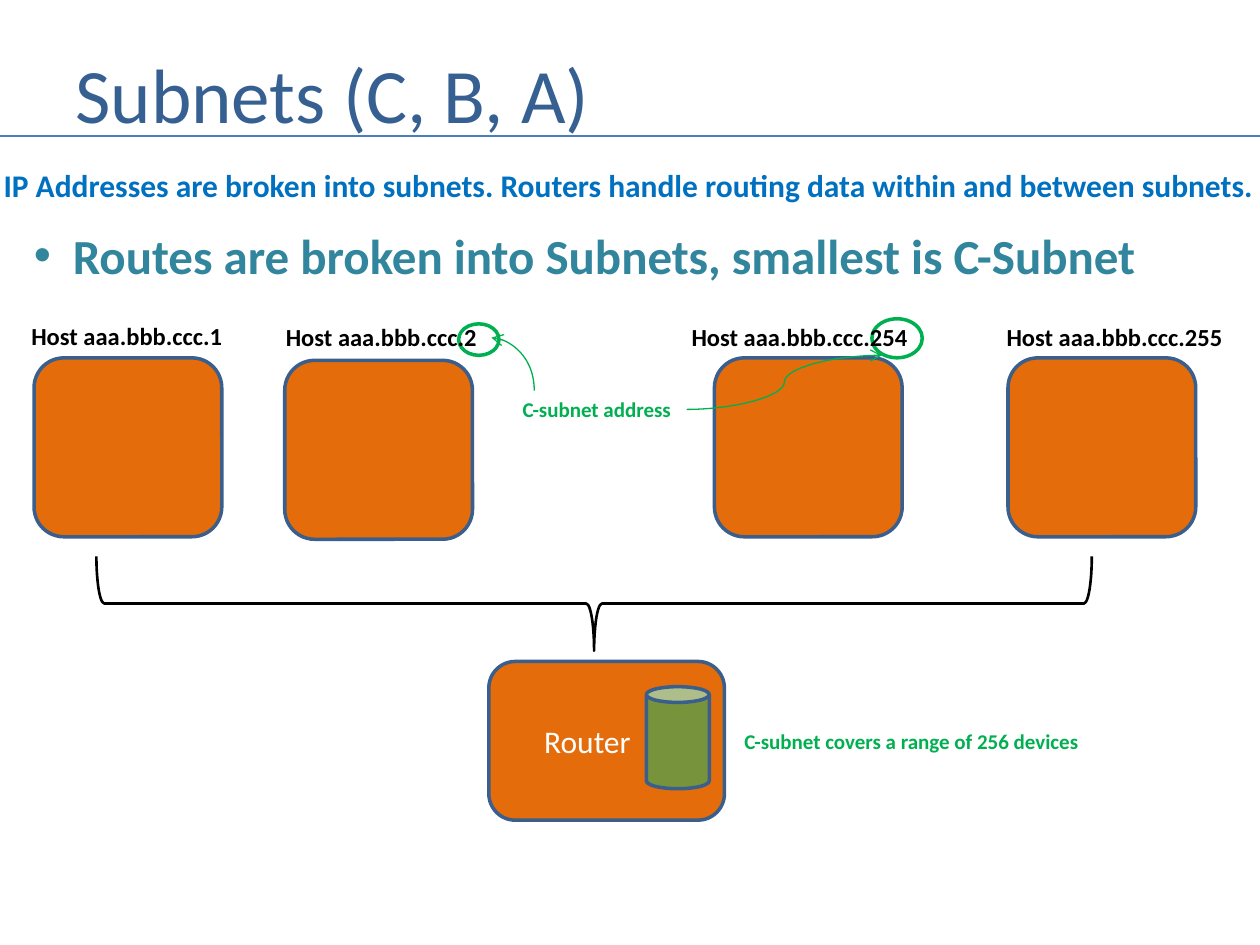
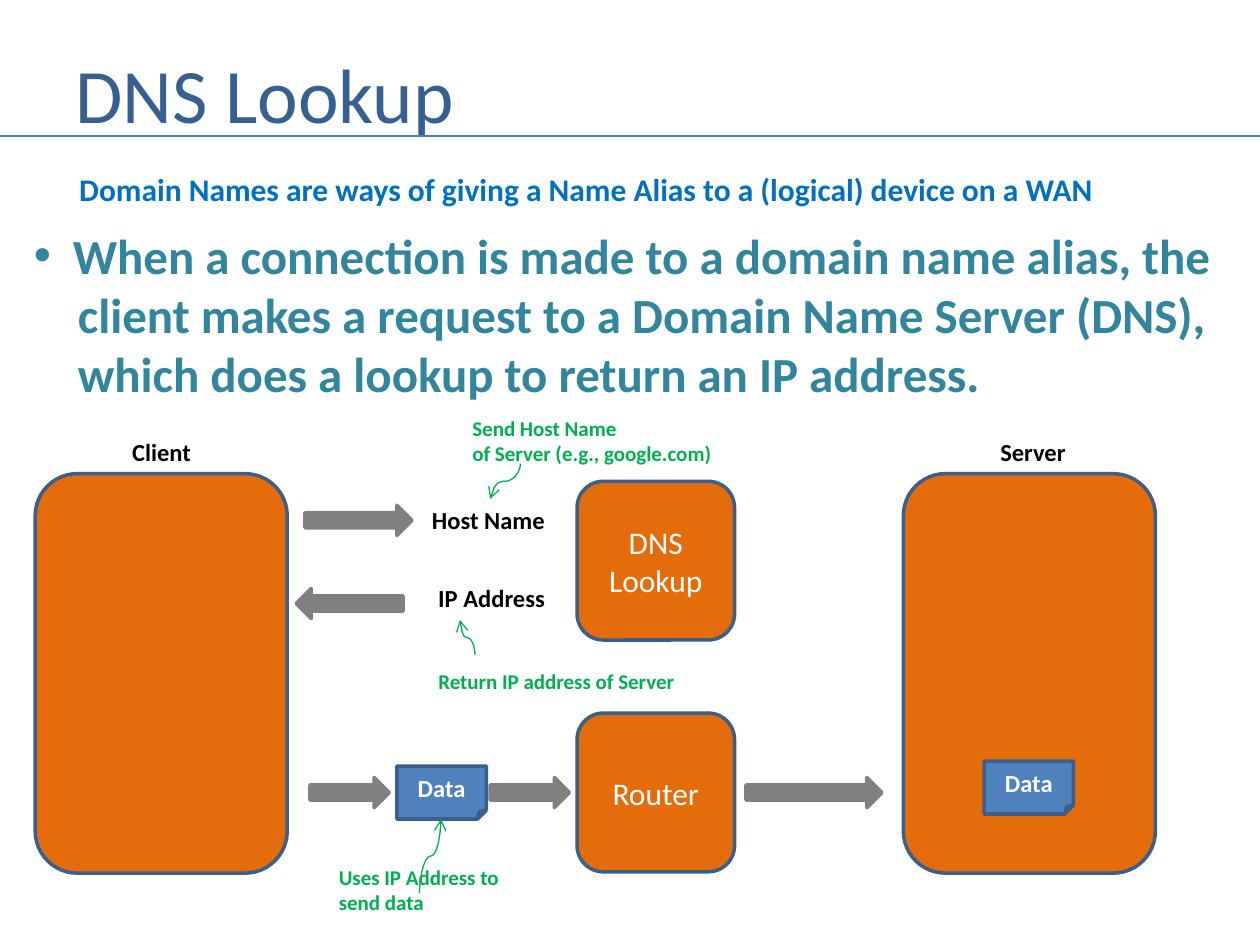
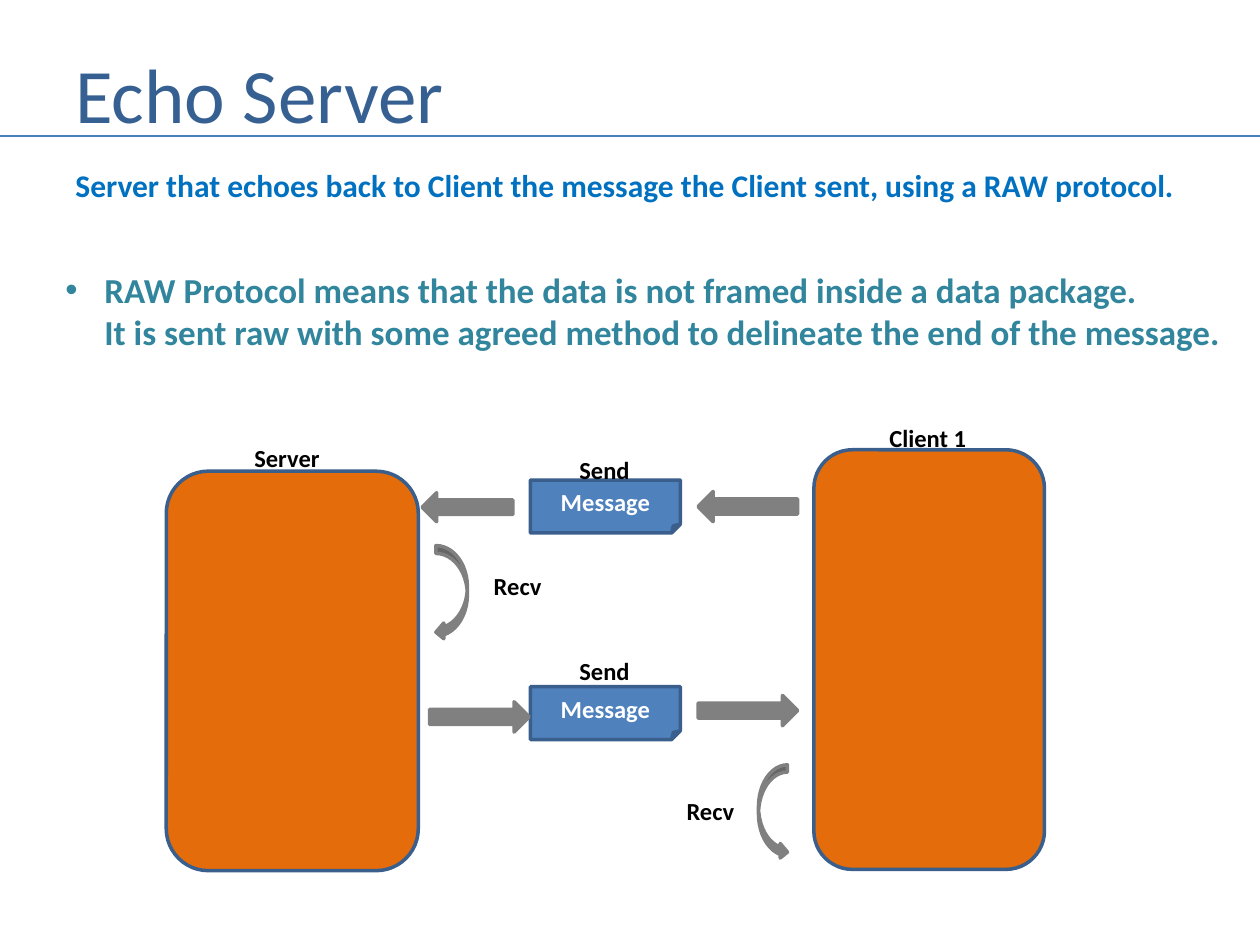
from dataclasses import dataclass
from typing import Any

import pptx
import pptx.dml.color
import pptx.enum.shapes
import pptx.enum.text
import pptx.oxml.ns
import pptx.oxml.xmlchemy
import pptx.slide
import pptx.util
from lxml import etree

EMU_PER_PX = 9144
PRESET = pptx.enum.shapes.MSO_SHAPE
CONNECTOR = pptx.enum.shapes.MSO_CONNECTOR
ALIGN = pptx.enum.text.PP_ALIGN
ANCHOR = pptx.enum.text.MSO_ANCHOR
AUTO_SIZE = pptx.enum.text.MSO_AUTO_SIZE

RULE_BLUE = "4B7EBC"
EDGE_BLUE = "3A5F8C"
ORANGE = "E46C0A"
GREY = "808080"
GREEN = "00B050"


@dataclass(frozen=True)
class TextStyle:
    size: int
    color: str
    bold: bool = True


@dataclass(frozen=True)
class NodeStyle:
    preset: Any
    fill: str | None
    line: str
    line_width: float = 2
    text: str = "node"


@dataclass(frozen=True)
class Node:
    style: str
    left: int
    top: int
    width: int
    height: int
    text: str = ""
    rotation: int = 0
    mirrored: bool = False
    indent: int = 0


@dataclass(frozen=True)
class Paragraph:
    text: str
    bullet: bool = False
    indent: int = 0


@dataclass(frozen=True)
class Label:
    style: str
    left: int
    top: int
    width: int
    height: int
    paragraphs: tuple[Paragraph, ...]


@dataclass(frozen=True)
class Curve:
    start: tuple[int, int]
    end: tuple[int, int]
    quarter_turns: int = 0
    preset: str = "curvedConnector3"


@dataclass(frozen=True)
class Page:
    title: str
    nodes: tuple[Node, ...]
    labels: tuple[Label, ...]
    curves: tuple[Curve, ...] = ()


TEXT_STYLES = {
    "title": TextStyle(44, "376092", False),
    "summary": TextStyle(18, "0070C0"),
    "body": TextStyle(28, "31859C"),
    "small body": TextStyle(20, "31859C"),
    "caption": TextStyle(14, "000000"),
    "note": TextStyle(12, GREEN),
    "node": TextStyle(18, "FFFFFF", False),
    "data": TextStyle(14, "FFFFFF"),
}

NODE_STYLES = {
    "machine": NodeStyle(PRESET.ROUNDED_RECTANGLE, ORANGE, EDGE_BLUE),
    "data": NodeStyle(PRESET.FOLDED_CORNER, "4F81BD", EDGE_BLUE, text="data"),
    "arrow": NodeStyle(PRESET.RIGHT_ARROW, GREY, GREY),
    "turn": NodeStyle(PRESET.CURVED_RIGHT_ARROW, GREY, GREY),
    "storage": NodeStyle(PRESET.CAN, "77933C", EDGE_BLUE),
    "ring": NodeStyle(PRESET.OVAL, None, GREEN),
    "brace": NodeStyle(PRESET.RIGHT_BRACE, None, "000000", 1.5),
}


def px(length: float) -> int:
    return round(length * EMU_PER_PX)


def rgb(color: str) -> pptx.dml.color.RGBColor:
    return pptx.dml.color.RGBColor.from_string(color)


def apply_format(target: Any, values: dict[str, Any]) -> None:
    for name, value in values.items():
        setattr(target, name, value)


def add_child(parent: Any, tag: str, **attributes: str) -> None:
    etree.SubElement(parent, pptx.oxml.ns.qn(tag), attributes)


def set_indent(paragraph: Any, indent: int, bullet: bool) -> None:
    properties = paragraph._p.get_or_add_pPr()
    properties.set("marL", str(px(indent)))
    properties.set("indent", str(px(-indent if bullet else 0)))
    if bullet:
        add_child(properties, "a:buFont", typeface="Arial")
        add_child(properties, "a:buChar", char="•")


def write_paragraph(paragraph: Any, text: str, style_name: str) -> None:
    style = TEXT_STYLES[style_name]
    paragraph.text = text
    for run in paragraph.runs:
        apply_format(run.font, {
            "name": "Calibri",
            "size": pptx.util.Pt(style.size),
            "bold": style.bold,
        })
        run.font.color.rgb = rgb(style.color)


def draw_label(slide: pptx.slide.Slide, label: Label) -> None:
    box = slide.shapes.add_textbox(
        *map(px, (label.left, label.top, label.width, label.height)))
    frame = box.text_frame
    apply_format(frame, {
        "word_wrap": False,
        "auto_size": AUTO_SIZE.SHAPE_TO_FIT_TEXT,
    })
    for index, item in enumerate(label.paragraphs):
        paragraph = frame.add_paragraph() if index else frame.paragraphs[0]
        if item.indent:
            set_indent(paragraph, item.indent, item.bullet)
        write_paragraph(paragraph, item.text, label.style)


def draw_node(slide: pptx.slide.Slide, node: Node) -> None:
    style = NODE_STYLES[node.style]
    shape = slide.shapes.add_shape(
        style.preset, *map(px, (node.left, node.top, node.width, node.height)))
    shape.shadow.inherit = False
    shape.rotation = node.rotation
    if node.mirrored:
        shape._element.spPr.xfrm.set("flipH", "1")
    if style.fill:
        shape.fill.solid()
        shape.fill.fore_color.rgb = rgb(style.fill)
    else:
        shape.fill.background()
    shape.line.color.rgb = rgb(style.line)
    shape.line.width = pptx.util.Pt(style.line_width)
    if node.text:
        paragraph = shape.text_frame.paragraphs[0]
        paragraph.alignment = ALIGN.LEFT if node.indent else ALIGN.CENTER
        if node.indent:
            set_indent(paragraph, node.indent, False)
        write_paragraph(paragraph, node.text, style.text)


def draw_connector(slide: pptx.slide.Slide, kind: Any, start: complex,
                   end: complex, color: str, width: float) -> Any:
    connector = slide.shapes.add_connector(
        kind, *map(px, (start.real, start.imag, end.real, end.imag)))
    connector.line.color.rgb = rgb(color)
    connector.line.width = pptx.util.Pt(width)
    add_child(connector._element.spPr, "a:effectLst")
    return connector


def draw_curve(slide: pptx.slide.Slide, curve: Curve) -> None:
    """Place the unrotated ends about their centre, then turn the connector."""
    start, end = complex(*curve.start), complex(*curve.end)
    centre = (start + end) / 2
    back = (-1j) ** curve.quarter_turns
    connector = draw_connector(
        slide, CONNECTOR.CURVE, centre + (start - centre) * back,
        centre + (end - centre) * back, GREEN, 0.75)
    properties = connector._element.spPr
    properties.xfrm.set("rot", str(curve.quarter_turns * 90 * 60000))
    properties.find(pptx.oxml.ns.qn("a:prstGeom")).set("prst", curve.preset)
    add_child(connector.line._get_or_add_ln(), "a:tailEnd", type="arrow")


def draw_title(slide: pptx.slide.Slide, title: str) -> None:
    box = slide.shapes.add_textbox(*map(px, (50, 30, 908, 87)))
    apply_format(box.text_frame, {
        "word_wrap": True,
        "vertical_anchor": ANCHOR.MIDDLE,
    })
    write_paragraph(box.text_frame.paragraphs[0], title, "title")
    draw_connector(slide, CONNECTOR.STRAIGHT, 0 + 108j, 1000 + 108j,
                   RULE_BLUE, 1.5)


def label(style: str, left: int, top: int, width: int, height: int,
          *lines: str) -> Label:
    return Label(style, left, top, width, height,
                 tuple(Paragraph(line) for line in lines))


def caption(left: int, top: int, width: int, text: str) -> Label:
    return label("caption", left, top, width, 34, text)


def bullet(text: str) -> Paragraph:
    return Paragraph(text, True, 31)


SUBNETS = Page(
    "Subnets (C, B, A)",
    nodes=(
        *(Node("machine", left, top, 149, 142)
          for left, top in ((27, 284), (567, 284), (226, 286), (800, 284))),
        Node("machine", 388, 525, 187, 126, "Router", indent=28),
        Node("storage", 513, 545, 50, 81),
        Node("brace", 434, 84, 75, 790, rotation=90),
        Node("ring", 364, 257, 32, 25),
        Node("ring", 692, 253, 40, 31),
    ),
    labels=(
        Label("body", 17, 174, 907, 57, (
            bullet("Routes are broken into Subnets, smallest is C-Subnet"),)),
        label("summary", -7, 127, 1013, 40,
              "IP Addresses are broken into subnets. "
              "Routers handle routing data within and between subnets."),
        caption(15, 250, 173, "Host aaa.bbb.ccc.1"),
        caption(217, 251, 173, "Host aaa.bbb.ccc.2"),
        caption(539, 251, 193, "Host aaa.bbb.ccc.254"),
        caption(789, 251, 193, "Host aaa.bbb.ccc.255"),
        label("note", 405, 310, 140, 30, "C-subnet address"),
        label("note", 581, 573, 289, 30,
              "C-subnet covers a range of 256 devices"),
    ),
    curves=(
        Curve((424, 310), (390, 268), 3, "curvedConnector2"),
        Curve((545, 325), (700, 282)),
    ),
)

DNS_LOOKUP = Page(
    "DNS Lookup",
    nodes=(
        Node("machine", 458, 382, 125, 126, "DNS\nLookup"),
        Node("machine", 458, 566, 125, 126, "Router"),
        *(Node("machine", left, 376, 200, 317) for left in (28, 717)),
        Node("arrow", 242, 401, 85, 24),
        Node("arrow", 235, 467, 85, 24, rotation=180),
        *(Node("arrow", left, 617, width, 24)
          for left, width in ((246, 63), (389, 63), (592, 108))),
        *(Node("data", left, top, 71, 42, "Data")
          for left, top in ((315, 608), (781, 604))),
    ),
    labels=(
        Label("body", 17, 174, 965, 152, (
            bullet("When a connection is made to a domain name alias, the"),
            Paragraph("client makes a request to a Domain Name Server (DNS),",
                      indent=35),
            Paragraph("which does a lookup to return an IP address.",
                      indent=35),
        )),
        label("summary", 53, 130, 832, 40,
              "Domain Names are ways of giving a Name Alias "
              "to a (logical) device on a WAN"),
        caption(95, 342, 67, "Client"),
        caption(333, 396, 110, "Host Name"),
        caption(338, 458, 106, "IP Address"),
        caption(784, 342, 72, "Server"),
        label("note", 365, 325, 212, 50,
              "Send Host Name", "of Server (e.g., google.com)"),
        label("note", 338, 526, 209, 30, "Return IP address of Server"),
        label("note", 259, 681, 149, 50, "Uses IP Address to", "send data"),
    ),
    curves=(
        Curve((413, 368), (389, 396), 1),
        Curve((377, 520), (365, 492), 3),
        Curve((333, 709), (350, 650), 1),
    ),
)

ECHO_SERVER = Page(
    "Echo Server",
    nodes=(
        Node("machine", 132, 374, 200, 317),
        Node("machine", 646, 357, 183, 333),
        *(Node("data", 421, top, 119, 42, "Message") for top in (381, 545)),
        Node("arrow", 554, 390, 79, 24, rotation=180),
        Node("arrow", 335, 391, 72, 23, rotation=180),
        Node("arrow", 554, 552, 79, 24),
        Node("arrow", 341, 557, 79, 24),
        Node("turn", 346, 433, 25, 75, mirrored=True),
        Node("turn", 602, 607, 23, 75),
    ),
    labels=(
        label("summary", 50, 127, 899, 40,
              "Server that echoes back to Client the message "
              "the Client sent, using a RAW protocol."),
        Label("small body", 42, 208, 945, 77, (bullet(
            "RAW Protocol means that the data is not framed inside "
            "a data package.\nIt is sent raw with some agreed method "
            "to delineate the end of the message."),)),
        caption(192, 347, 72, "Server"),
        caption(696, 331, 82, "Client 1"),
        *(caption(450, top, 60, "Send") for top in (356, 516)),
        *(caption(left, top, 58, "Recv")
          for left, top in ((382, 448), (535, 627))),
    ),
)


def main() -> None:
    presentation = pptx.Presentation()
    apply_format(presentation, {
        "slide_width": px(1000),
        "slide_height": px(750),
    })
    for page in (SUBNETS, DNS_LOOKUP, ECHO_SERVER):
        slide = presentation.slides.add_slide(presentation.slide_layouts[6])
        draw_title(slide, page.title)
        for node in page.nodes:
            draw_node(slide, node)
        for item in page.labels:
            draw_label(slide, item)
        for curve in page.curves:
            draw_curve(slide, curve)
    presentation.save("out.pptx")


if __name__ == "__main__":
    main()
